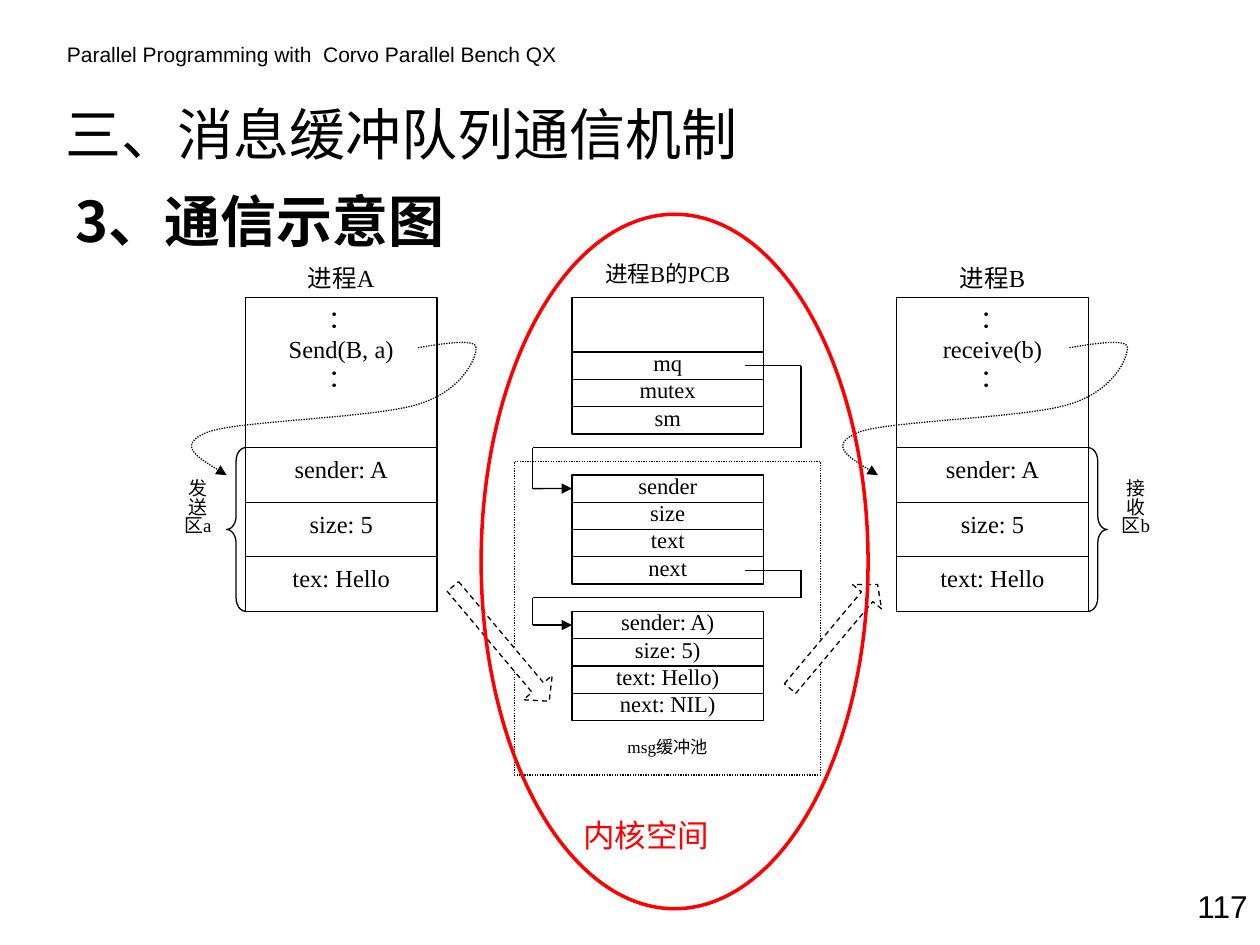
from lxml.etree import SubElement
from pptx import Presentation
from pptx.dml.color import RGBColor
from pptx.enum.dml import MSO_LINE
from pptx.enum.shapes import MSO_CONNECTOR, MSO_SHAPE
from pptx.enum.text import MSO_ANCHOR, PP_ALIGN
from pptx.oxml.ns import qn
from pptx.util import Cm, Pt

BLACK = RGBColor(0, 0, 0)
WHITE = RGBColor(255, 255, 255)
RED = RGBColor(255, 0, 0)
SANS, SERIF, CHINESE = "Arial", "Times New Roman", "Noto Sans CJK SC"

TOP, ROW, COLUMN_WIDTH = 6.0, 0.55, 3.86
SENDER_LEFT, KERNEL_LEFT, RECEIVER_LEFT = 4.95, 11.53, 18.08
SECTION_ROWS, FIELD_ROWS = 5.5, 2
BRACE_WIDTH, SIDE_WIDTH = 0.38, 1.16
LINK_START, LINK_RIGHT, LINK_LEFT = 15.01, 16.15, 10.74


def row_y(row):
    return TOP + row * ROW


def write_text(shape, text, size, font=SERIF, color=BLACK, align=PP_ALIGN.CENTER,
               spacing=1.0, before=0, bold=False, inset=0.13, anchor=MSO_ANCHOR.TOP):
    frame = shape.text_frame
    frame.text = text
    frame.word_wrap = True
    frame.vertical_anchor = anchor
    frame.margin_top = frame.margin_bottom = Cm(inset)
    for paragraph in frame.paragraphs:
        paragraph.alignment = align
        paragraph.line_spacing = spacing
        paragraph.space_before = Pt(before)
        for span in paragraph.runs:
            span.font.name = font
            span.font.size = Pt(size)
            span.font.bold = bold
            span.font.color.rgb = color
            east_asian = SubElement(span.font._element, qn("a:ea"))
            east_asian.set("typeface", CHINESE)


def add_label(page, left, top, width, height, text, size, **style):
    box = page.shapes.add_textbox(Cm(left), Cm(top), Cm(width), Cm(height))
    write_text(box, text, size, **style)


def style_line(line, color=BLACK, weight=0.75, dash=None, arrow=False):
    line.color.rgb = color
    line.width = Pt(weight)
    if dash:
        line.dash_style = dash
    if arrow:
        SubElement(line._get_or_add_ln(), qn("a:tailEnd")).set("type", "triangle")


def add_outline(page, kind, left, top, width, height, fill=None, **line_style):
    shape = page.shapes.add_shape(kind, Cm(left), Cm(top), Cm(width), Cm(height))
    shape.shadow.inherit = False
    if fill is None:
        shape.fill.background()
    else:
        shape.fill.solid()
        shape.fill.fore_color.rgb = fill
    style_line(shape.line, **line_style)
    return shape


def add_cell(page, left, row, rows, text="", size=14, **style):
    cell = add_outline(page, MSO_SHAPE.RECTANGLE, left, row_y(row),
                       COLUMN_WIDTH, rows * ROW, WHITE)
    if text:
        write_text(cell, text, size, **style)
    return cell


def add_record(page, first_row, fields):
    return [add_cell(page, KERNEL_LEFT, first_row + index, 1, field, 12.9,
                     spacing=0.9, inset=0)
            for index, field in enumerate(fields)]


def add_curve(page, points):
    start, *rest = [(Cm(x), Cm(y)) for x, y in points]
    builder = page.shapes.build_freeform(*start, scale=1.0)
    builder.add_line_segments(rest, close=False)
    curve = builder.convert_to_shape()
    curve.shadow.inherit = False
    curve.fill.background()
    style_line(curve.line, dash=MSO_LINE.ROUND_DOT, arrow=True)
    segments = list(curve._element.iter(qn("a:lnTo")))
    outline = segments[0].getparent()
    for index in range(0, len(segments), 3):
        bezier = SubElement(outline, qn("a:cubicBezTo"))
        for segment in segments[index:index + 3]:
            bezier.append(segment[0])
            outline.remove(segment)


def add_process(page, left, name, call, fields):
    add_cell(page, left, 0, SECTION_ROWS, f"：\n{call}\n：")
    add_label(page, left, 5.17, COLUMN_WIDTH, 1.12, name, 14)
    for index, field in enumerate(fields):
        add_cell(page, left, SECTION_ROWS + index * FIELD_ROWS, FIELD_ROWS, field)
    offsets = [(3.48, 7.01), (4.06, 6.91), (4.65, 6.83), (4.65, 7.01),
               (4.65, 7.21), (4.39, 7.87), (3.48, 8.15),
               (2.59, 8.43), (-0.13, 8.48), (-0.76, 8.71),
               (-1.4, 8.97), (-0.89, 9.27), (-0.38, 9.58)]
    add_curve(page, [(left + x, y) for x, y in offsets])


def add_area(page, kind, brace_left, label_left, text):
    rows = 3 * FIELD_ROWS
    brace = add_outline(page, kind, brace_left, row_y(SECTION_ROWS),
                        BRACE_WIDTH, rows * ROW)
    brace.adjustments[0] = 0.72
    add_label(page, label_left, row_y(6.5), SIDE_WIDTH, 4 * ROW, text, 10.8, spacing=0.8)


def add_link(page, from_row, turn_row, target_row, target):
    corners = [(LINK_START, from_row), (LINK_RIGHT, from_row), (LINK_RIGHT, turn_row),
               (LINK_LEFT, turn_row), (LINK_LEFT, target_row), (KERNEL_LEFT, target_row)]
    for (x1, row1), (x2, row2) in zip(corners, corners[1:]):
        last = x2 == KERNEL_LEFT
        connector = page.shapes.add_connector(
            MSO_CONNECTOR.STRAIGHT, Cm(x1), Cm(row_y(row1)), Cm(x2), Cm(row_y(row2)))
        style_line(connector.line, arrow=last)
        SubElement(connector._element.spPr, qn("a:effectLst"))
        if last:
            connector.end_connect(target, 1)


def add_copy_arrow(page, left, top, width, rotation, head):
    arrow = add_outline(page, MSO_SHAPE.RIGHT_ARROW, left, top, width, 0.76,
                        WHITE, dash=MSO_LINE.DASH)
    arrow.rotation = rotation
    arrow.adjustments[0] = 0.395
    arrow.adjustments[1] = head


def add_kernel(page):
    message = add_record(page, 11.5, ["sender: A)", "size: 5)", "text: Hello)", "next: NIL)"])
    header = add_record(page, 6.5, ["sender", "size", "text", "next"])
    add_record(page, 2, ["mq", "mutex", "sm"])
    add_cell(page, KERNEL_LEFT, 0, 2)
    add_label(page, KERNEL_LEFT, 5.17, COLUMN_WIDTH, 0.84, "进程B的PCB", 12.9, spacing=0.9)
    add_link(page, 2.5, 5.5, 7, header[0])
    add_link(page, 10, 11, 12, message[0])
    add_outline(page, MSO_SHAPE.RECTANGLE, 10.37, row_y(6), 6.17, 11.5 * ROW,
                dash=MSO_LINE.ROUND_DOT)
    add_label(page, 11.15, 14.8, 4.62, 0.69, "msg缓冲池", 9.8, spacing=0.8)


def main():
    deck = Presentation()
    deck.slide_width, deck.slide_height = Cm(25.4), Cm(19.05)
    page = deck.slides.add_slide(deck.slide_layouts[6])

    left = PP_ALIGN.LEFT
    add_label(page, 1.1, 0.71, 10.6, 0.76,
              "Parallel Programming with  Corvo Parallel Bench QX", 12, font=SANS, align=left)
    add_label(page, 1.07, 1.73, 14.4, 1.9, "三、消息缓冲队列通信机制", 32,
              font=CHINESE, align=left, anchor=MSO_ANCHOR.MIDDLE)
    add_label(page, 1.27, 3.63, 23.5, 2.11, "3、通信示意图", 32,
              font=CHINESE, align=left, before=8, bold=True)

    add_process(page, SENDER_LEFT, "进程A", "Send(B, a)",
                ["sender: A", "size: 5", "tex: Hello"])
    brace_left = SENDER_LEFT - BRACE_WIDTH
    add_area(page, MSO_SHAPE.LEFT_BRACE, brace_left, brace_left - SIDE_WIDTH, "发送区a")
    add_process(page, RECEIVER_LEFT, "进程B", "receive(b)",
                ["sender: A", "size: 5", "text: Hello"])
    brace_left = RECEIVER_LEFT + COLUMN_WIDTH
    add_area(page, MSO_SHAPE.RIGHT_BRACE, brace_left, brace_left + BRACE_WIDTH, "接收区b")

    add_kernel(page)
    add_copy_arrow(page, 8.59, 12.6, 3.02, 50, 0.471)
    add_copy_arrow(page, 15.44, 12.45, 2.74, 310, 0.428)
    add_label(page, 22.91, 17.75, 2.49, 1.02, "117", 18, font=SANS,
              align=PP_ALIGN.RIGHT, before=11.2)
    add_label(page, 11.51, 16.33, 4.6, 1.02, "内核空间", 18, font=SANS, color=RED, align=left)
    add_outline(page, MSO_SHAPE.OVAL, 9.7, 4.32, 7.8, 14.0, color=RED, weight=2)
    deck.save("out.pptx")


if __name__ == "__main__":
    main()
